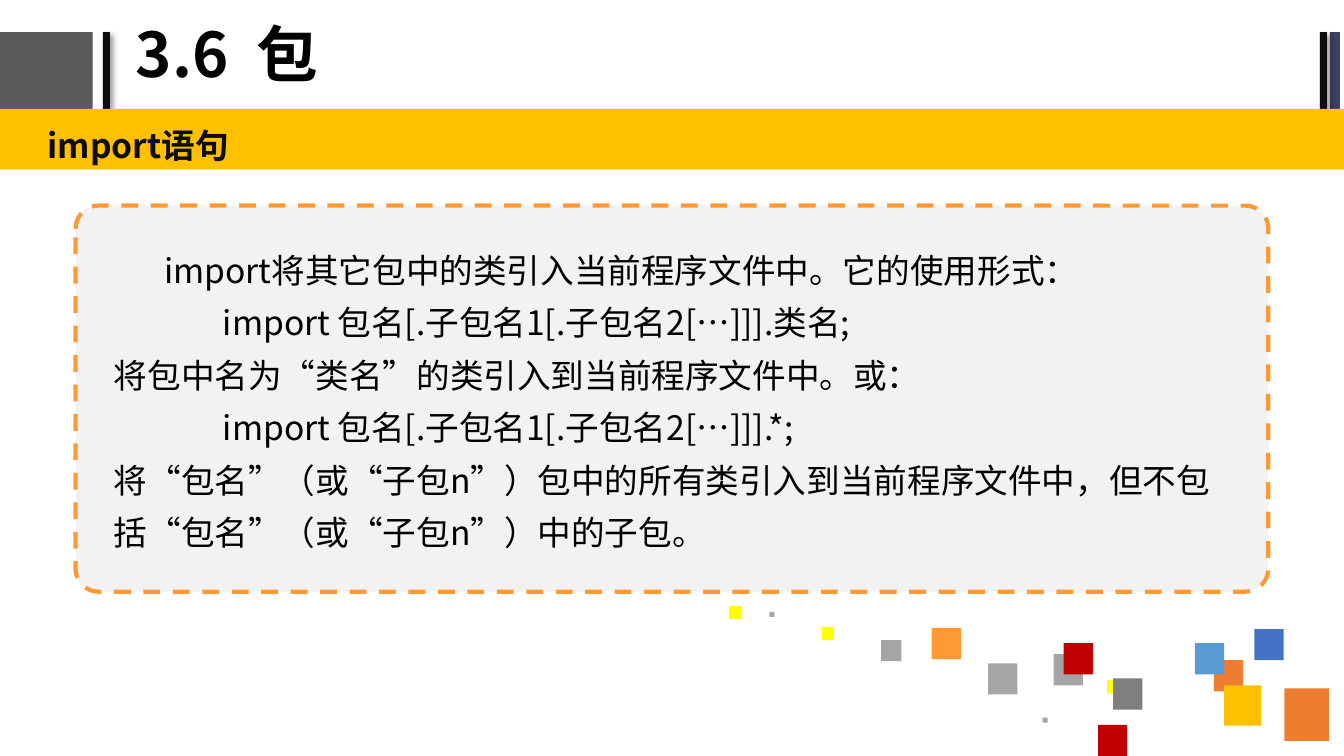
from collections import namedtuple
from lxml import etree
from pptx import Presentation
from pptx.dml.color import RGBColor as RGB
from pptx.enum.dml import MSO_LINE_DASH_STYLE as DASH
from pptx.enum.shapes import MSO_SHAPE as SHAPE
from pptx.enum.text import MSO_ANCHOR as ANCHOR
from pptx.oxml.ns import qn
from pptx.util import Inches, Pt

C = dict(black="000000", ink="0D0D0D", charcoal="595959", navy="3B3F60",
         amber="FFC000", panel="F2F2F2", dash="FF9933", rust="ED7D31",
         sky="5B9BD5", blue="4472C4", silver="A5A5A5", ash="A6A6A6",
         gray="7F7F7F", yellow="FFFF00", red="C00000")
FONT = "Noto Sans CJK SC"
COLS, ROWS = 1333, 750
Box = namedtuple("Box", "x y w h")

prs = Presentation()
prs.slide_width, prs.slide_height = Inches(13.33), Inches(7.5)
COL, ROW = prs.slide_width / COLS, prs.slide_height / ROWS


def inner(box, x, y, w, h):
    return Box(box.x + x, box.y + y, w, h)


def emu(box):
    return (round(box.x * COL), round(box.y * ROW),
            round(box.w * COL), round(box.h * ROW))


def add_block(s, box, color, kind=SHAPE.RECTANGLE):
    sp = s.shapes.add_shape(kind, *emu(box))
    sp.shadow.inherit = False
    sp.fill.solid()
    sp.fill.fore_color.rgb = RGB.from_string(C[color])
    sp.line.fill.background()
    return sp


def add_shadow(sp):
    effects = sp._element.spPr.find(qn("a:effectLst"))
    shadow = etree.SubElement(effects, qn("a:outerShdw"), blurRad=str(Pt(4)),
                              dist=str(Pt(3)), dir=str(45 * 60000))
    color = etree.SubElement(shadow, qn("a:srgbClr"), val=C["black"])
    etree.SubElement(color, qn("a:alpha"), val="40000")


def add_text(s, box, lines, size, color, spacing, bold=False,
             anchor=ANCHOR.TOP, margins=(0.13, 0.07)):
    tf = s.shapes.add_textbox(*emu(box)).text_frame
    tf.word_wrap = True
    tf.vertical_anchor = anchor
    tf.margin_left = tf.margin_right = Inches(margins[0])
    tf.margin_top = tf.margin_bottom = Inches(margins[1])
    for i, (text, indent) in enumerate(lines):
        p = tf.add_paragraph() if i else tf.paragraphs[0]
        p.line_spacing = spacing
        if indent:
            p._p.get_or_add_pPr().set("indent", str(round(indent * COL)))
        r = p.add_run()
        r.text = text
        r.font.size, r.font.bold, r.font.name = Pt(size), bold, FONT
        r.font.color.rgb = RGB.from_string(C[color])
        etree.SubElement(r._r.get_or_add_rPr(), qn("a:ea"), typeface=FONT)


def add_header(s, box):
    for x, w, color, shaded in [(-2, 94, "charcoal", False), (102, 7, "ink", True),
                                (1319, 10, "navy", False), (1309, 7, "ink", True)]:
        sp = add_block(s, inner(box, x, 0, w, box.h), color)
        if shaded:
            add_shadow(sp)
    add_text(s, inner(box, 125, -30, 847, 110), [("3.6  包", 0)], 44, "black",
             0.9, True, ANCHOR.MIDDLE, (0.1, 0.05))


def add_band(s, box):
    add_block(s, box, "amber")
    add_text(s, inner(box, 34, 1, box.w - 34, box.h - 1), [("import语句", 0)],
             24, "ink", 1.2, True)


def add_panel(s, box):
    sp = add_block(s, box, "panel", SHAPE.ROUNDED_RECTANGLE)
    sp.adjustments[0] = 0.06
    sp.line.color.rgb = RGB.from_string(C["dash"])
    sp.line.width = Pt(3)
    sp.line.dash_style = DASH.DASH
    add_text(s, inner(box, 25, 25, 1115, 325), [
        ("import将其它包中的类引入当前程序文件中。它的使用形式：", 50),
        ("import 包名[.子包名1[.子包名2[…]]].类名;", 108),
        ("将包中名为“类名”的类引入到当前程序文件中。或：", 0),
        ("import 包名[.子包名1[.子包名2[…]]].*;", 108),
        ("将“包名”（或“子包n”）包中的所有类引入到当前程序文件中，"
         "但不包括“包名”（或“子包n”）中的子包。", 0),
    ], 24, "black", 1.3)


def add_squares(s, box):
    sizes = dict(dot=(5, 5), small=(12, 13), medium=(20, 21),
                 tile=(29, 31), large=(37, 40), huge=(44, 52))
    for x, y, size, color in [
        (551, 82, "huge", "rust"), (481, 54, "tile", "rust"),
        (491, 79, "large", "amber"), (462, 37, "tile", "sky"),
        (311, 111, "dot", "silver"), (521, 23, "tile", "blue"),
        (375, 74, "small", "yellow"), (322, 48, "tile", "silver"),
        (332, 37, "tile", "red"), (381, 72, "tile", "gray"),
        (366, 118, "tile", "red"), (40, 6, "dot", "silver"),
        (92, 21, "small", "yellow"), (151, 34, "medium", "silver"),
        (201, 22, "tile", "dash"), (257, 57, "tile", "ash"),
        (0, 0, "small", "yellow"),
    ]:
        add_block(s, inner(box, x, y, *sizes[size]), color)


def main():
    s = prs.slides.add_slide(prs.slide_layouts[6])
    add_header(s, Box(0, 32, COLS, 76))
    add_panel(s, Box(75, 204, 1183, 383))
    add_squares(s, Box(723, 601, 595, 149))
    add_band(s, Box(0, 108, COLS, 60))
    prs.save("out.pptx")


if __name__ == "__main__":
    main()
